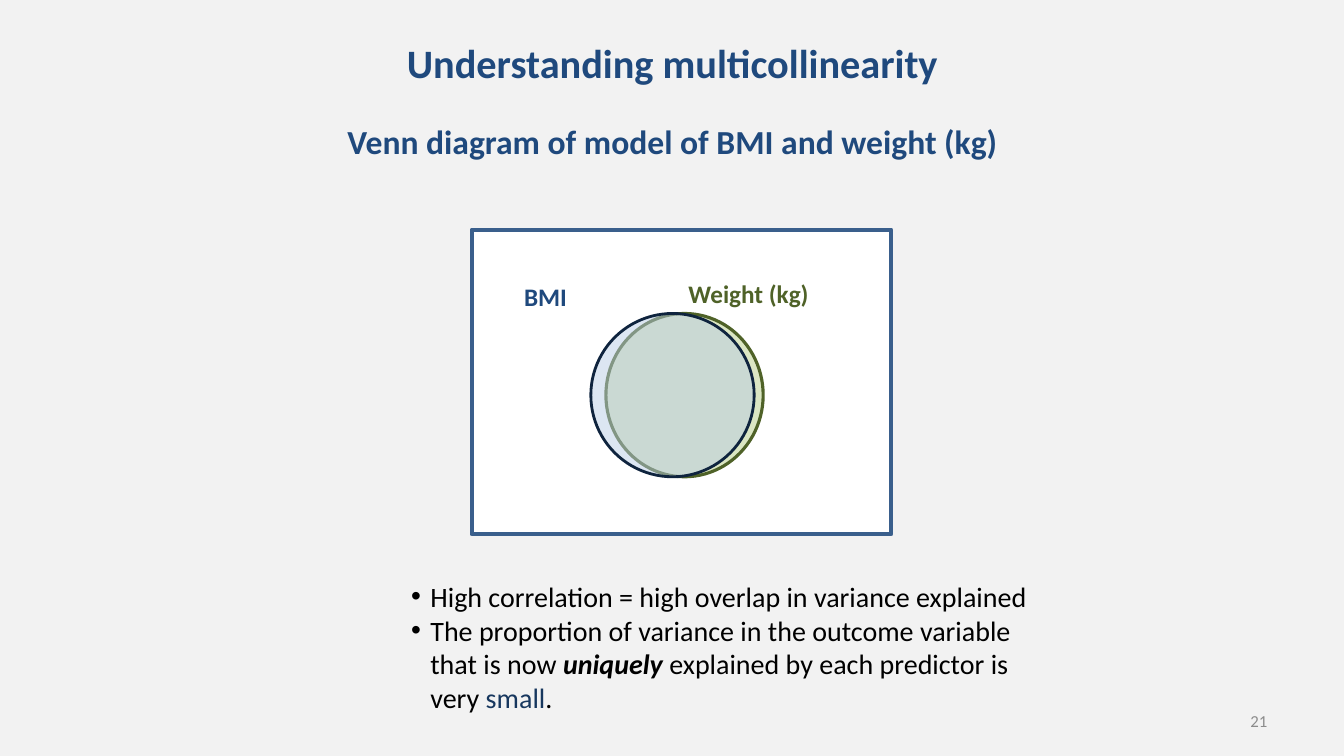
from lxml.etree import SubElement
from pptx import Presentation
from pptx.dml.color import RGBColor
from pptx.enum.shapes import MSO_SHAPE as Shape
from pptx.enum.text import MSO_ANCHOR as Anchor, MSO_AUTO_SIZE as AutoSize, PP_ALIGN as Align
from pptx.oxml.ns import qn
from pptx.util import Inches, Pt

NAVY = "1F497D"
OLIVE = "4F6228"
BLACK = "000000"


def color(value):
    return RGBColor.from_string(value)


def place(shape, left, top, width, height):
    shape.left, shape.top = Inches(left), Inches(top)
    shape.width, shape.height = Inches(width), Inches(height)


def add_run(paragraph, text, size=20, ink=BLACK, bold=False, italic=False):
    run = paragraph.add_run()
    run.text = text
    font = run.font
    font.name, font.size = "Calibri", Pt(size)
    font.bold, font.italic = bold, italic
    font.color.rgb = color(ink)


def write(shape, text, align=Align.LEFT, anchor=Anchor.TOP, wrap=True, **style):
    frame = shape.text_frame
    frame.auto_size = AutoSize.NONE
    frame.word_wrap = wrap
    frame.vertical_anchor = anchor
    paragraph = frame.paragraphs[0]
    paragraph.alignment = align
    add_run(paragraph, text, **style)


def add_text(slide, box, text, **style):
    write(slide.shapes.add_textbox(*map(Inches, box)), text, **style)


def add_figure(slide, kind, box, fill, line, line_width, opacity=100):
    shape = slide.shapes.add_shape(kind, *map(Inches, box))
    shape.shadow.inherit = False
    shape.fill.solid()
    shape.fill.fore_color.rgb = color(fill)
    shape.line.color.rgb = color(line)
    shape.line.width = Pt(line_width)
    if opacity < 100:
        fill_color = shape.fill._xPr.find(qn("a:solidFill"))[0]
        SubElement(fill_color, qn("a:alpha")).set("val", str(opacity * 1000))


def add_bullets(slide, box, items):
    frame = slide.shapes.add_textbox(*map(Inches, box)).text_frame
    frame.word_wrap = True
    for index, runs in enumerate(items):
        paragraph = frame.add_paragraph() if index else frame.paragraphs[0]
        properties = paragraph._p.get_or_add_pPr()
        properties.set("marL", str(Inches(0.19)))
        properties.set("indent", str(Inches(-0.19)))
        SubElement(properties, qn("a:buFont")).set("typeface", "Arial")
        SubElement(properties, qn("a:buChar")).set("char", "•")
        for text, style in runs:
            add_run(paragraph, text, **style)


def main():
    presentation = Presentation()
    presentation.slide_width, presentation.slide_height = Inches(13.33), Inches(7.5)
    slide = presentation.slides.add_slide(presentation.slide_layouts[5])
    slide.background.fill.solid()
    slide.background.fill.fore_color.rgb = color("F2F2F2")

    heading = dict(align=Align.CENTER, anchor=Anchor.MIDDLE, ink=NAVY, bold=True)
    title = slide.shapes.title
    place(title, 2.17, 0.3, 9, 0.63)
    write(title, "Understanding multicollinearity", size=28.8, **heading)
    add_text(slide, (2.17, 0.77, 9, 1.25),
             "Venn diagram of model of BMI and weight (kg)", size=24, **heading)

    add_figure(slide, Shape.RECTANGLE, (4.68, 2.28, 4.16, 3.02), "FFFFFF", "3A5F8C", 3)
    add_figure(slide, Shape.OVAL, (6.01, 3.11, 1.56, 1.62), "C3D69B", OLIVE, 2.25, opacity=60)
    add_figure(slide, Shape.OVAL, (5.86, 3.11, 1.62, 1.62), "B9CDE5", "0F243E", 2, opacity=49)
    label = dict(size=18, bold=True, wrap=False)
    add_text(slide, (5.1, 2.74, 0.63, 0.4), "BMI", ink=NAVY, **label)
    add_text(slide, (6.73, 2.71, 1.41, 0.4), "Weight (kg)", ink=OLIVE, **label)

    add_bullets(slide, (3.98, 5.7, 6.31, 1.45), [
        [("High correlation = high overlap in variance explained", {})],
        [("The proportion of variance in the outcome variable that is now ", {}),
         ("uniquely ", dict(bold=True, italic=True)),
         ("explained by each predictor is very ", {}),
         ("small", dict(ink="17375E")),
         (".", {})],
    ])
    add_text(slide, (9.56, 6.95, 3.11, 0.4), "21", size=12, ink="8C8C8C",
             align=Align.RIGHT, anchor=Anchor.MIDDLE)
    presentation.save("out.pptx")


if __name__ == "__main__":
    main()
